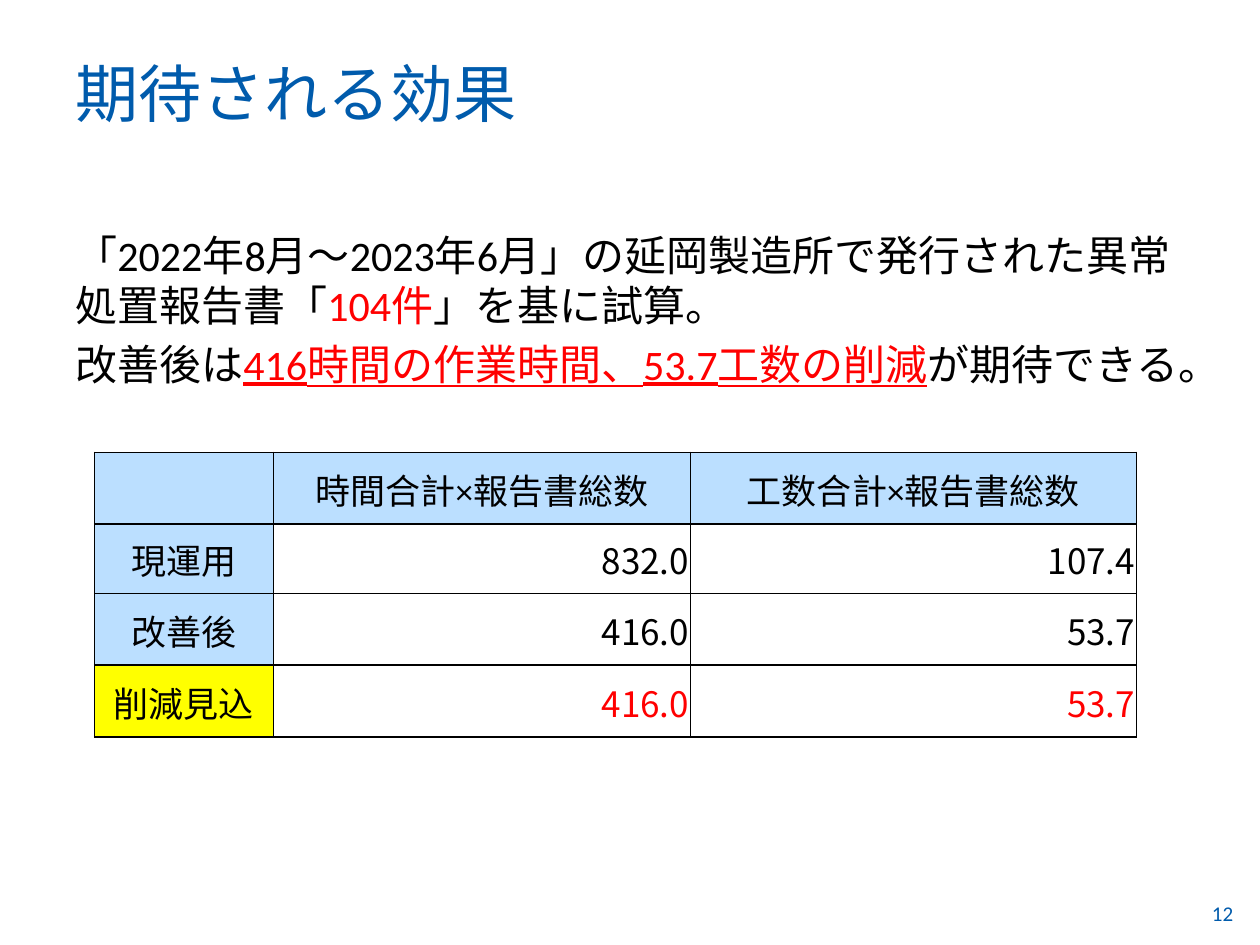
from lxml.etree import SubElement
from pptx import Presentation
from pptx.dml.color import RGBColor
from pptx.enum.text import MSO_ANCHOR, MSO_AUTO_SIZE, PP_ALIGN
from pptx.oxml.ns import qn
from pptx.util import Inches, Pt

LATIN, ASIAN = "Calibri", "Noto Sans CJK JP"
BLUE, PALE, YELLOW = "005BAC", "BBDFFF", "FFFF00"
BLACK, RED = "000000", "FF0000"


def color(code):
    return RGBColor.from_string(code)


class Deck:
    def __init__(self):
        self.prs = Presentation()
        self.prs.slide_width, self.prs.slide_height = Inches(10), Inches(7.5)
        self.slide = self.prs.slides.add_slide(self.prs.slide_layouts[5])

    def run(self, para, text, size, tone=BLACK, face=LATIN, line=False):
        run = para.add_run()
        run.text = text
        font = run.font
        font.size, font.name, font.underline = Pt(size), face, line
        font.color.rgb = color(tone)
        SubElement(run._r.get_or_add_rPr(), qn("a:ea"), typeface=ASIAN)

    def title(self, text, box):
        shape = self.slide.shapes.title
        shape.left, shape.top, shape.width, shape.height = map(Inches, box)
        frame = shape.text_frame
        frame.auto_size = MSO_AUTO_SIZE.NONE
        frame.vertical_anchor = MSO_ANCHOR.BOTTOM
        frame.margin_bottom = 0
        para = frame.paragraphs[0]
        para.alignment = PP_ALIGN.LEFT
        self.run(para, text, 36, BLUE)

    def text(self, paras, box, size, tone=BLACK, pitch=None):
        frame = self.slide.shapes.add_textbox(*map(Inches, box)).text_frame
        frame.word_wrap = True
        for i, runs in enumerate(paras):
            para = frame.add_paragraph() if i else frame.paragraphs[0]
            if i:
                para.space_before = Pt(size * 0.2)
            if pitch:
                para.line_spacing = Pt(pitch)
            for words, *style in runs:
                self.run(para, words, size, *(style or [tone]))

    def border(self, cell):
        props = cell._tc.get_or_add_tcPr()
        for i, side in enumerate(("lnL", "lnR", "lnT", "lnB")):
            line = props.makeelement(qn("a:" + side), {"w": str(Pt(1))})
            fill = SubElement(line, qn("a:solidFill"))
            SubElement(fill, qn("a:srgbClr"), val=BLACK)
            props.insert(i, line)

    def table(self, rows, spot, widths, heights):
        size = sum(widths), sum(heights)
        table = self.slide.shapes.add_table(
            len(rows), len(widths), *map(Inches, spot + size)).table
        for col, width in zip(table.columns, widths):
            col.width = Inches(width)
        for row, height in zip(table.rows, heights):
            row.height = Inches(height)
        last = len(rows) - 1
        for r, row in enumerate(rows):
            for c, words in enumerate(row):
                self.cell(table.cell(r, c), words, r == 0 or c == 0, r == last)

    def cell(self, cell, words, head, mark):
        # Headings are tinted and centred, values are right-aligned
        if head:
            cell.fill.solid()
            cell.fill.fore_color.rgb = color(YELLOW if mark else PALE)
        else:
            cell.fill.background()
        self.border(cell)
        cell.margin_left = cell.margin_right = cell.margin_top = Inches(0.01)
        cell.margin_bottom = 0
        cell.vertical_anchor = MSO_ANCHOR.MIDDLE
        para = cell.text_frame.paragraphs[0]
        para.alignment = PP_ALIGN.CENTER if head else PP_ALIGN.RIGHT
        if words:
            tone = RED if mark and not head else BLACK
            self.run(para, words, 20, tone, LATIN if head else ASIAN)


def main():
    deck = Deck()

    # Title and page number
    deck.title("期待される効果", (0.5, 0.26, 9, 0.77))
    deck.text([[("12",)]], (9.52, 7.1, 0.48, 0.4), 12, BLUE)

    # Estimate and expected savings
    deck.text([
        [("「2022年8月～2023年6月」の延岡製造所で発行された異常処置報告書「",),
         ("104件", RED), ("」を基に試算。",)],
        [("改善後は",),
         ("416時間の作業時間、53.7工数の削減", RED, LATIN, True),
         ("が期待できる。",)],
    ], (0.5, 1.78, 9, 1.48), 24, pitch=28.5)

    # Comparison of hours and workload
    deck.table([
        ("", "時間合計×報告書総数", "工数合計×報告書総数"),
        ("現運用", "832.0", "107.4"),
        ("改善後", "416.0", "53.7"),
        ("削減見込", "416.0", "53.7"),
    ], (0.75, 3.59), (1.42, 3.31, 3.54), (0.57, 0.55, 0.57, 0.57))

    deck.prs.save("out.pptx")


if __name__ == "__main__":
    main()
